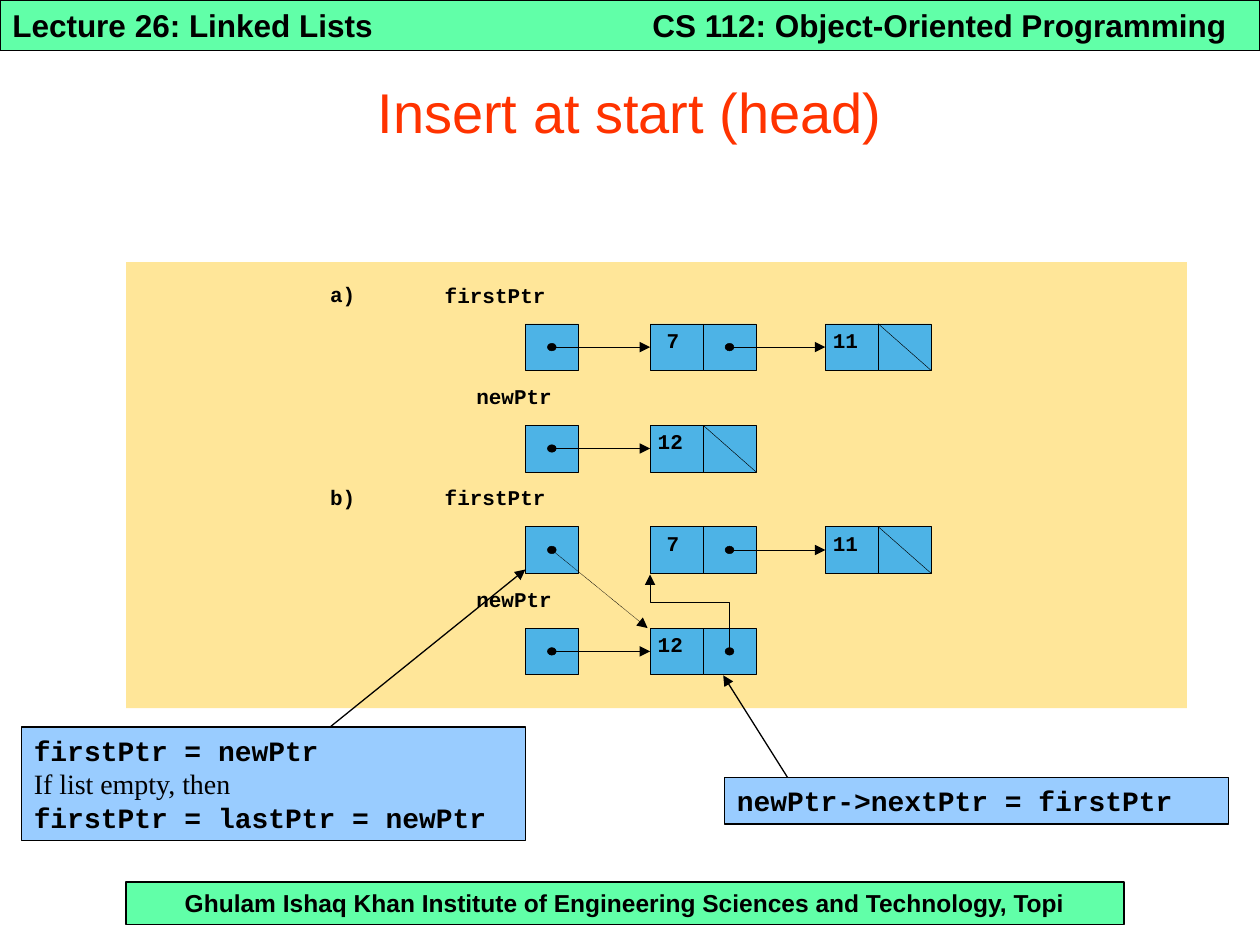
from lxml.etree import SubElement
from pptx import Presentation
from pptx.dml.color import RGBColor
from pptx.enum.dml import MSO_LINE_DASH_STYLE as Dash
from pptx.enum.shapes import MSO_CONNECTOR as Connector, MSO_SHAPE as Shape
from pptx.enum.text import MSO_ANCHOR as Anchor, PP_ALIGN as Align
from pptx.oxml.ns import qn
from pptx.util import Inches, Pt

BLACK, GREEN, SAND = "000000", "61FFA8", "FFE699"
NODE_BLUE, CALLOUT_BLUE, RED = "4DB3E6", "99CCFF", "FF3300"
SANS, MONO, SERIF = "Arial", "Courier New", "Times New Roman"
CELL_WIDTH, CELL_HEIGHT = 0.42, 0.37
POINTER_LEFT, FIRST_NODE_LEFT, NODE_STEP = 4.17, 5.16, 1.39
FIRST_ROW_TOP, ROW_STEP = 2.57, 0.805

ROWS = [
    {"part": "a)", "pointer": "firstPtr", "nodes": ["7", "11"], "linked": True, "ends": True},
    {"pointer": "newPtr", "nodes": ["12"], "linked": True, "ends": True},
    {"part": "b)", "pointer": "firstPtr", "nodes": ["7", "11"], "linked": False, "ends": True},
    {"pointer": "newPtr", "nodes": ["12"], "linked": True, "ends": False},
]
CALLOUTS = [
    {"box": (5.75, 6.17, 4, 0.37), "arrow": ((6.25, 6.17), (5.74, 5.36)),
     "lines": [("newPtr->nextPtr = firstPtr", MONO, True)]},
    {"box": (0.17, 5.77, 4, 0.9), "arrow": ((2.62, 5.77), (4.17, 4.52)),
     "lines": [("firstPtr = newPtr", MONO, True), ("If list empty, then", SERIF, False),
               ("firstPtr = lastPtr = newPtr", MONO, True)]},
]

presentation = Presentation()
presentation.slide_width, presentation.slide_height = Inches(10), Inches(7.5)
slide = presentation.slides.add_slide(presentation.slide_layouts[6])


def color(value):
    """Turn a hex string into a colour."""
    return RGBColor.from_string(value)


def add_text(shape, text, size=12, font=MONO, bold=True, tone=BLACK, align=Align.LEFT,
             anchor=Anchor.TOP, spacing=None, margins=(0.1, 0.05), first=True):
    """Write one formatted paragraph into a shape."""
    frame = shape.text_frame
    frame.word_wrap, frame.vertical_anchor = True, anchor
    frame.margin_left = frame.margin_right = Inches(margins[0])
    frame.margin_top = frame.margin_bottom = Inches(margins[1])
    paragraph = frame.paragraphs[0] if first else frame.add_paragraph()
    paragraph.alignment, paragraph.line_spacing = align, spacing
    run = paragraph.add_run()
    run.text = text
    run.font.size, run.font.name, run.font.bold = Pt(size), font, bold
    run.font.color.rgb = color(tone)


def add_box(left, top, width, height, fill, line=0.75, kind=Shape.RECTANGLE):
    """Add a filled shape with an optional black outline."""
    shape = slide.shapes.add_shape(kind, *map(Inches, (left, top, width, height)))
    shape.shadow.inherit = False
    shape.fill.solid()
    shape.fill.fore_color.rgb = color(fill)
    if line:
        style_line(shape, line)
    else:
        shape.line.fill.background()
    return shape


def add_label(left, top, width, height, text, **style):
    """Add a text box holding one paragraph."""
    add_text(slide.shapes.add_textbox(*map(Inches, (left, top, width, height))), text, **style)


def style_line(shape, width, arrow=False, dash=None):
    """Set a black line, with an optional arrowhead and dash."""
    shape.line.color.rgb = color(BLACK)
    shape.line.width = Pt(width)
    if dash:
        shape.line.dash_style = dash
    if arrow:
        SubElement(shape.line._get_or_add_ln(), qn("a:tailEnd"), type="triangle")


def add_line(start, end, width=0.25, arrow=True, dash=None, target=None):
    """Draw a straight line, joined to the target's left side if given."""
    connector = slide.shapes.add_connector(Connector.STRAIGHT, *map(Inches, (*start, *end)))
    style_line(connector, width, arrow, dash)
    SubElement(connector._element.spPr, qn("a:effectLst"))
    if target:
        connector.end_connect(target, 1)


def add_cell(left, top):
    """Add one list cell."""
    return add_box(left, top, CELL_WIDTH, CELL_HEIGHT, NODE_BLUE, line=0.25)


def add_dot(left, top):
    """Mark a cell's centre and return that point."""
    x, y = left + CELL_WIDTH / 2, top + CELL_HEIGHT / 2
    add_box(x - 0.035, y - 0.03, 0.07, 0.06, BLACK, 0.25, Shape.OVAL)
    return x, y


def add_row(row, top):
    """Draw a pointer and its nodes, and return the last dot."""
    pointer = row["pointer"]
    tight = {"margins": (0, 0), "spacing": 0.72}
    if "part" in row:
        add_label(2.62, top - 0.27, 0.27, 0.25, row["part"], margins=(0, 0), spacing=0.64)
    label_left = 3.53 if pointer == "firstPtr" else 3.78
    add_label(label_left, top - 0.28, 4.59 - label_left, 0.27, pointer, **tight)
    add_cell(POINTER_LEFT, top)
    dot = add_dot(POINTER_LEFT, top)
    for index, value in enumerate(row["nodes"]):
        left = FIRST_NODE_LEFT + index * NODE_STEP
        link_left = left + CELL_WIDTH
        data_cell = add_cell(left, top)
        add_cell(link_left, top)
        add_label(left + 0.2 - 0.07 * len(value), top + 0.08, 0.3, 0.27, value, **tight)
        if index or row["linked"]:
            add_line(dot, (left, dot[1]), target=data_cell)
        if row["ends"] and value == row["nodes"][-1]:
            add_line((link_left, top), (link_left + CELL_WIDTH, top + CELL_HEIGHT), arrow=False)
        else:
            dot = add_dot(link_left, top)
    return dot


def add_relinks(first_top, new_top, new_dot):
    """Draw the two dotted links made by the insertion."""
    start = POINTER_LEFT + CELL_WIDTH / 2, first_top + CELL_HEIGHT / 2
    add_line(start, (FIRST_NODE_LEFT - 0.02, new_top), dash=Dash.ROUND_DOT)
    bend = (first_top + CELL_HEIGHT + new_top) / 2 + 0.01
    points = [(new_dot[0], bend), (FIRST_NODE_LEFT, bend),
              (FIRST_NODE_LEFT, first_top + CELL_HEIGHT + 0.01)]
    builder = slide.shapes.build_freeform(*map(Inches, new_dot))
    builder.add_line_segments([tuple(map(Inches, point)) for point in points], close=False)
    elbow = builder.convert_to_shape()
    elbow.shadow.inherit = False
    elbow.fill.background()
    style_line(elbow, 0.25, arrow=True, dash=Dash.ROUND_DOT)


def main():
    """Build the slide and save it."""
    heading = {"size": 18, "font": SANS}
    add_text(add_box(1, 7, 7.92, 0.34, GREEN),
             "Ghulam Ishaq Khan Institute of Engineering Sciences and Technology, Topi",
             size=14, font=SANS, align=Align.CENTER)
    add_text(add_box(0, 0, 10, 0.4, GREEN), "Lecture 26: Linked Lists", **heading)
    add_label(5.08, 0, 4.92, 0.4, "CS 112: Object-Oriented Programming", **heading)
    add_label(0, 0.42, 10, 0.92, "Insert at start (head)", size=32, font=SANS, bold=False,
              tone=RED, align=Align.CENTER, anchor=Anchor.MIDDLE)
    add_box(1, 2.08, 8.42, 3.54, SAND, line=None)
    tops = [FIRST_ROW_TOP + index * ROW_STEP for index in range(len(ROWS))]
    dots = [add_row(row, top) for row, top in zip(ROWS, tops)]
    add_relinks(tops[2], tops[3], dots[3])
    for callout in CALLOUTS:
        box = add_box(*callout["box"], CALLOUT_BLUE)
        for index, (text, font, bold) in enumerate(callout["lines"]):
            add_text(box, text, size=16, font=font, bold=bold, first=index == 0)
        add_line(*callout["arrow"], width=0.75)
    presentation.save("out.pptx")


if __name__ == "__main__":
    main()
